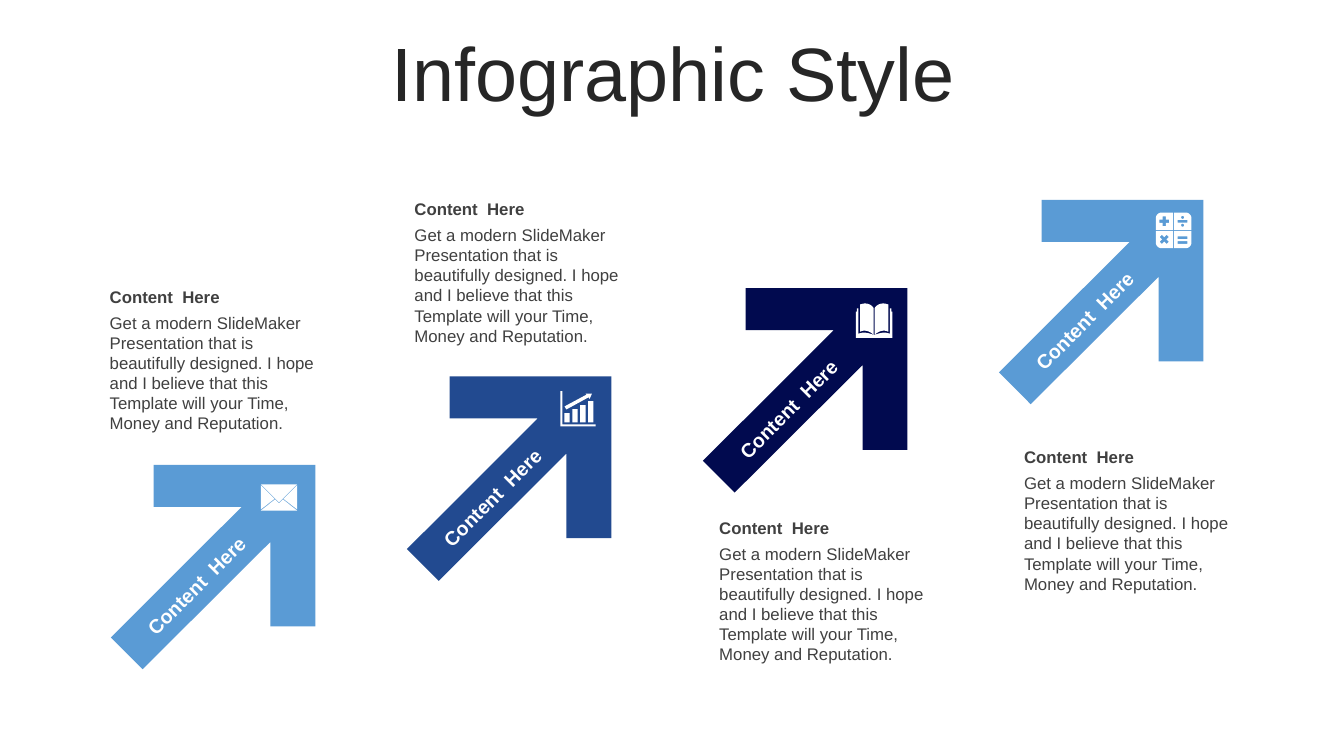
from dataclasses import dataclass
from math import cos, pi, sin

from pptx import Presentation
from pptx.dml.color import RGBColor
from pptx.enum.text import MSO_ANCHOR, PP_ALIGN
from pptx.shapes.autoshape import Shape
from pptx.slide import Slide
from pptx.util import Pt

Point = tuple[float, float]
Contour = list[Point]

FONT = "Arial"
WHITE = "FFFFFF"
HEADING = "Content  Here"
BODY = (
    "Get a modern SlideMaker Presentation that is beautifully designed. "
    "I hope and I believe that this Template will your Time, Money and Reputation."
)
ARROW: Contour = [
    (146, 0), (146, 115.5), (114, 115.5), (114, 55), (22.7, 146),
    (0, 123.3), (93.5, 30), (30.5, 30), (30.5, 0),
]


@dataclass
class Icon:
    left: float
    top: float
    contours: list[Contour]


@dataclass
class Step:
    color: str
    text_top: float
    icon: Icon


@dataclass
class TextStyle:
    size: float
    color: str
    bold: bool = False
    alignment: PP_ALIGN = PP_ALIGN.LEFT
    anchor: MSO_ANCHOR = MSO_ANCHOR.MIDDLE


TITLE_STYLE = TextStyle(54, "262626", alignment=PP_ALIGN.CENTER)
LABEL_STYLE = TextStyle(14, WHITE, bold=True, alignment=PP_ALIGN.CENTER)
HEADING_STYLE = TextStyle(12, "404040", bold=True)
BODY_STYLE = TextStyle(12, "404040", anchor=MSO_ANCHOR.TOP)


def rgb(color: str) -> RGBColor:
    return RGBColor.from_string(color)


def rectangle(left: float, top: float, right: float, bottom: float) -> Contour:
    return [(left, top), (right, top), (right, bottom), (left, bottom)]


def curve(start: Point, first: Point, second: Point, end: Point) -> Contour:
    points = []
    for index in range(9):
        t = index / 8
        weights = ((1 - t) ** 3, 3 * t * (1 - t) ** 2, 3 * t * t * (1 - t), t**3)
        controls = (start, first, second, end)
        points.append((
            sum(weight * x for weight, (x, _) in zip(weights, controls)),
            sum(weight * y for weight, (_, y) in zip(weights, controls)),
        ))
    return points


def mirror(contour: Contour, width: float) -> Contour:
    return [(width - x, y) for x, y in contour]


def flip(contour: Contour, height: float) -> Contour:
    return [(x, height - y) for x, y in contour]


def circle(center_x: float, center_y: float, radius: float) -> Contour:
    angles = [2 * pi * index / 16 for index in range(16)]
    return [(center_x + radius * cos(a), center_y + radius * sin(a)) for a in angles]


def cross(center_x: float, center_y: float, angle: float) -> Contour:
    points = []
    for quarter in range(4):
        turn = angle + quarter * pi / 2
        for x, y in ((3.5, -1.1), (3.5, 1.1), (1.1, 1.1)):
            points.append((
                center_x + x * cos(turn) - y * sin(turn),
                center_y + x * sin(turn) + y * cos(turn),
            ))
    return points


def envelope() -> list[Contour]:
    side = [(0, 0.7), (9.8, 10.4), (0, 18)]
    return [
        [(0, 0), (26, 0), (13, 13)],
        [(0, 18.8), (10.2, 10.8), (13, 13.7), (15.8, 10.8), (26, 18.8)],
        side,
        mirror(side, 26),
    ]


def growth_chart() -> list[Contour]:
    bars = [
        rectangle(2.9 + 5.65 * index, 15.8 - 2.85 * index, 6.7 + 5.65 * index, 22.4)
        for index in range(4)
    ]
    trend = [(18, 1.8), (22.6, 1.8), (20.9, 5.8), (20.2, 4.5), (4.3, 13.2), (3, 11), (18.7, 2.6)]
    axes = [(0, 0), (1.4, 0), (1.4, 23.8), (25.2, 23.8), (25.2, 25.2), (0, 25.2)]
    return [*bars, trend, axes]


def open_book() -> list[Contour]:
    page = (
        curve((12.6, 3.2), (11, 0.8), (8.6, 0), (6.5, 0))
        + curve((6.5, 0), (5, 0), (4, 0.4), (2.9, 0.7))
        + curve((2.9, 20.2), (5.8, 18.7), (9.4, 19.4), (12.6, 22.3))
    )
    cover = (
        [(0, 5.8), (0.7, 5.8), (0.7, 3.6), (1.8, 3.6)]
        + curve((1.8, 21.6), (5.8, 20.2), (8.6, 20.9), (13, 22.6))
        + [(13, 24.5), (0, 24.5)]
    )
    return [page, cover, mirror(page, 26), mirror(cover, 26)]


def calculator() -> list[Contour]:
    size = 25.4
    tile = [(12.3, 0), (12.3, 12.3), (0, 12.3)] + curve((0, 4), (0, 1.8), (1.8, 0), (4, 0))
    lower_tile = flip(tile, size)
    minus_and_equals = [rectangle(15.6, top, 22.6, top + 2) for top in (5.2, 16.9, 20.3)]
    return [
        tile, mirror(tile, size), lower_tile, mirror(lower_tile, size),
        cross(6, 6.2, 0), cross(6, 19.1, pi / 4), *minus_and_equals,
        circle(19.1, 3.4, 1.1), circle(19.1, 9, 1.1),
    ]


def add_outline(slide: Slide, contours: list[Contour], left: float, top: float, color: str) -> None:
    placed = [[(Pt(left + x), Pt(top + y)) for x, y in contour] for contour in contours]
    builder = slide.shapes.build_freeform(*placed[0][0], scale=1.0)
    for index, contour in enumerate(placed):
        if index:
            builder.move_to(*contour[0])
        builder.add_line_segments(contour[1:], close=True)
    shape = builder.convert_to_shape()
    shape.shadow.inherit = False
    shape.fill.solid()
    shape.fill.fore_color.rgb = rgb(color)
    shape.line.fill.background()


def add_text(
    slide: Slide, text: str, left: float, top: float, width: float, height: float, style: TextStyle
) -> Shape:
    shape = slide.shapes.add_textbox(Pt(left), Pt(top), Pt(width), Pt(height))
    frame = shape.text_frame
    frame.word_wrap = True
    frame.vertical_anchor = style.anchor
    paragraph = frame.paragraphs[0]
    paragraph.text = text
    paragraph.alignment = style.alignment
    paragraph.font.name = FONT
    paragraph.font.size = Pt(style.size)
    paragraph.font.bold = style.bold
    paragraph.font.color.rgb = rgb(style.color)
    return shape


def add_step(slide: Slide, index: int, step: Step) -> None:
    left, top = 79.2 + 211.45 * index, 332 - 63.1 * index
    add_outline(slide, [ARROW], left, top, step.color)
    label = add_text(slide, HEADING, left - 2.7, top + 74.1, 127.4, 24.5, LABEL_STYLE)
    label.rotation = 315
    add_outline(slide, step.icon.contours, left + step.icon.left, top + step.icon.top, WHITE)
    text_left = 71.3 + 217.7 * index
    add_text(slide, HEADING, text_left, step.text_top, 163.4, 21.8, HEADING_STYLE)
    add_text(slide, BODY, text_left, step.text_top + 18.7, 163.4, 94.3, BODY_STYLE)


def main() -> None:
    presentation = Presentation()
    presentation.slide_width, presentation.slide_height = Pt(960), Pt(540)
    slide = presentation.slides.add_slide(presentation.slide_layouts[6])
    title = add_text(slide, "Infographic Style", 25.2, 26.6, 911.5, 56.9, TITLE_STYLE)
    title.text_frame.paragraphs[0].line_spacing = 0.9
    steps = [
        Step("5A9BD5", 200.9, Icon(107.1, 13.9, envelope())),
        Step("224A90", 138.2, Icon(109.6, 10.4, growth_chart())),
        Step("010A4F", 365.8, Icon(109.3, 11, open_book())),
        Step("5A9BD5", 315.4, Icon(112.1, 9.2, calculator())),
    ]
    for index, step in enumerate(steps):
        add_step(slide, index, step)
    presentation.save("out.pptx")


if __name__ == "__main__":
    main()
